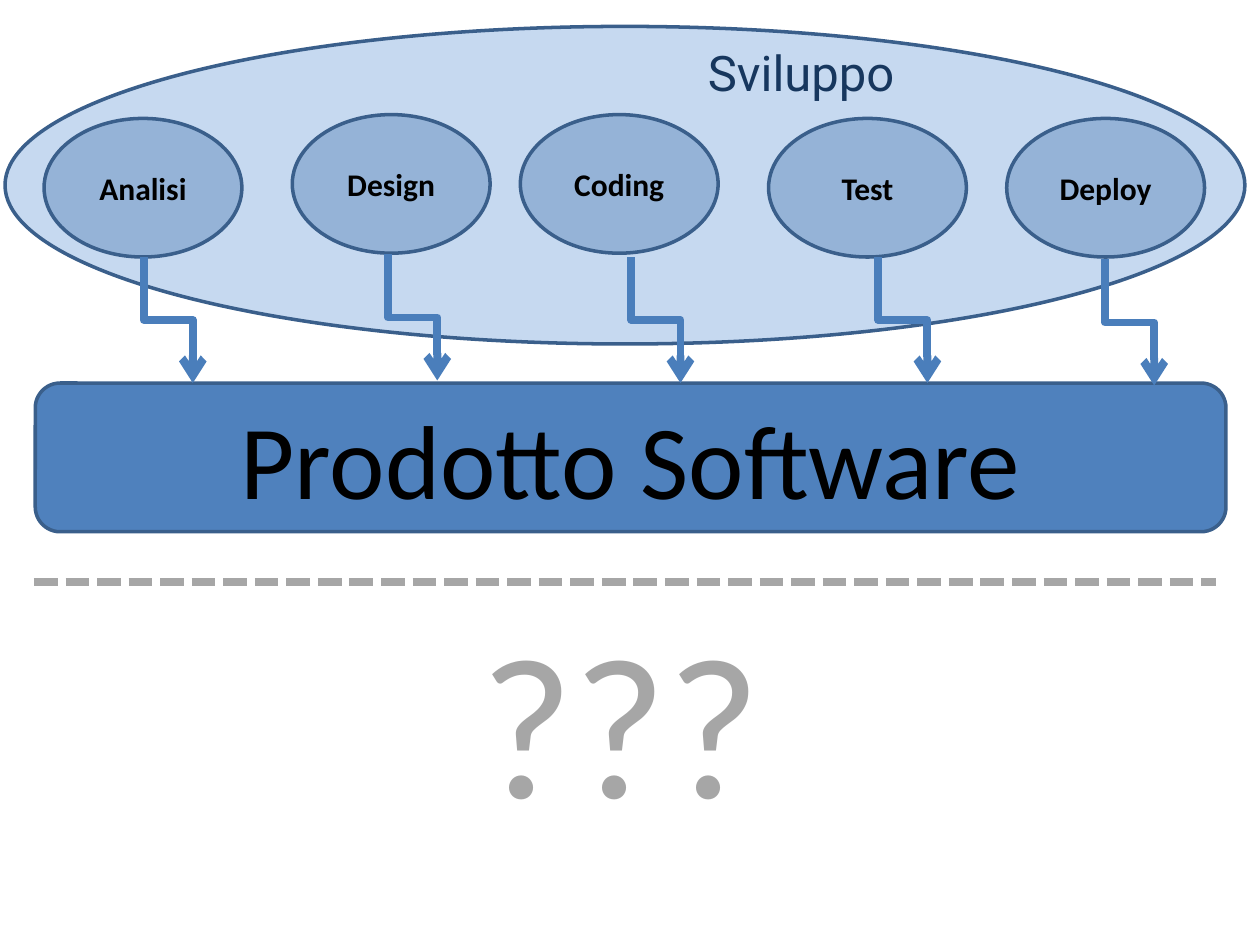
from dataclasses import dataclass

from lxml import etree
from pptx import Presentation
from pptx import util as u
from pptx.dml.color import RGBColor
from pptx.enum import dml, shapes, text
from pptx.oxml.ns import qn

Inches = u.Inches


@dataclass(frozen=True)
class Theme:
    development: str = "8EB4E3"
    phase: str = "95B3D7"
    product: str = "4F81BD"
    outline: str = "3A5F8B"
    arrow: str = "4A7EBB"
    title: str = "17375E"
    ink: str = "000000"
    unknown: str = "A6A6A6"
    font: str = "Calibri"
    title_font: str = "Roboto"
    phase_size: float = 18
    title_size: float = 28
    product_size: float = 60
    unknown_size: float = 115
    outline_width: float = 2
    flow_width: float = 4.5


THEME = Theme()
PHASE_WIDTH, PHASE_HEIGHT = 1.57, 1.1
ARROW_DROP, ARROW_SHIFT = 1, 0.39
PHASES = [
    ("Test", 6.1, 0.94),
    ("Analisi", 0.35, 0.94),
    ("Deploy", 7.99, 0.94),
    ("Coding", 4.13, 0.91),
    ("Design", 2.32, 0.91),
]
ARROW_STARTS = [(1.14, 2.04), (3.08, 2.02), (5.01, 2.04), (6.97, 2.04), (8.77, 2.06)]


def write(frame, wording, size, color, font=THEME.font, bold=False,
          align=text.PP_ALIGN.CENTER):
    frame.text = wording
    frame.word_wrap = True
    paragraph = frame.paragraphs[0]
    paragraph.alignment = align
    style = paragraph.runs[0].font
    style.name, style.size, style.bold = font, u.Pt(size), bold
    style.color.rgb = RGBColor.from_string(color)


def add_block(slide, kind, box, fill, opacity=100):
    block = slide.shapes.add_shape(kind, *map(Inches, box))
    block.shadow.inherit = False
    block.fill.solid()
    block.fill.fore_color.rgb = RGBColor.from_string(fill)
    block.line.color.rgb = RGBColor.from_string(THEME.outline)
    block.line.width = u.Pt(THEME.outline_width)
    block.text_frame.vertical_anchor = text.MSO_ANCHOR.MIDDLE
    if opacity < 100:
        color = block.fill._xPr.find(".//" + qn("a:srgbClr"))
        etree.SubElement(color, qn("a:alpha"), val=str(opacity * 1000))
    return block


def add_line(slide, kind, ends, color):
    line = slide.shapes.add_connector(kind, *map(Inches, ends))
    line.line.color.rgb = RGBColor.from_string(color)
    line.line.width = u.Pt(THEME.flow_width)
    etree.SubElement(line._element.spPr, qn("a:effectLst"))
    return line


def add_flow_arrow(slide, x, y):
    left = x + (ARROW_SHIFT - ARROW_DROP) / 2
    top = y + (ARROW_DROP - ARROW_SHIFT) / 2
    ends = (left + ARROW_DROP, top, left, top + ARROW_SHIFT)
    arrow = add_line(slide, shapes.MSO_CONNECTOR.ELBOW, ends, THEME.arrow)
    arrow._element.spPr.find(qn("a:xfrm")).set("rot", str(270 * 60000))
    etree.SubElement(arrow.line._get_or_add_ln(), qn("a:tailEnd"), type="arrow")


def add_label(slide, box, wording, size, color, **style):
    label = slide.shapes.add_textbox(*map(Inches, box))
    write(label.text_frame, wording, size, color, **style)
    label.text_frame.auto_size = text.MSO_AUTO_SIZE.SHAPE_TO_FIT_TEXT


def main():
    deck = Presentation()
    deck.slide_width, deck.slide_height = Inches(10), Inches(7.5)
    slide = deck.slides.add_slide(deck.slide_layouts[6])
    oval = shapes.MSO_SHAPE.OVAL

    add_block(slide, oval, (0.04, 0.21, 9.84, 2.52), THEME.development, 50)
    product = add_block(slide, shapes.MSO_SHAPE.ROUNDED_RECTANGLE,
                        (0.28, 3.04, 9.45, 1.18), THEME.product)
    write(product.text_frame, "Prodotto Software", THEME.product_size, THEME.ink)

    for name, left, top in PHASES:
        phase = add_block(slide, oval, (left, top, PHASE_WIDTH, PHASE_HEIGHT), THEME.phase)
        write(phase.text_frame, name, THEME.phase_size, THEME.ink, bold=True)
    for x, y in ARROW_STARTS:
        add_flow_arrow(slide, x, y)

    add_label(slide, (5.52, 0.29, 1.84, 0.57), "Sviluppo", THEME.title_size,
              THEME.title, font=THEME.title_font, align=text.PP_ALIGN.LEFT)
    divider = add_line(slide, shapes.MSO_CONNECTOR.STRAIGHT,
                       (0.27, 4.62, 9.65, 4.62), THEME.unknown)
    divider.line.dash_style = dml.MSO_LINE.SQUARE_DOT
    add_label(slide, (0.28, 4.69, 9.29, 2.02), "???", THEME.unknown_size, THEME.unknown)

    deck.save("out.pptx")


if __name__ == "__main__":
    main()
